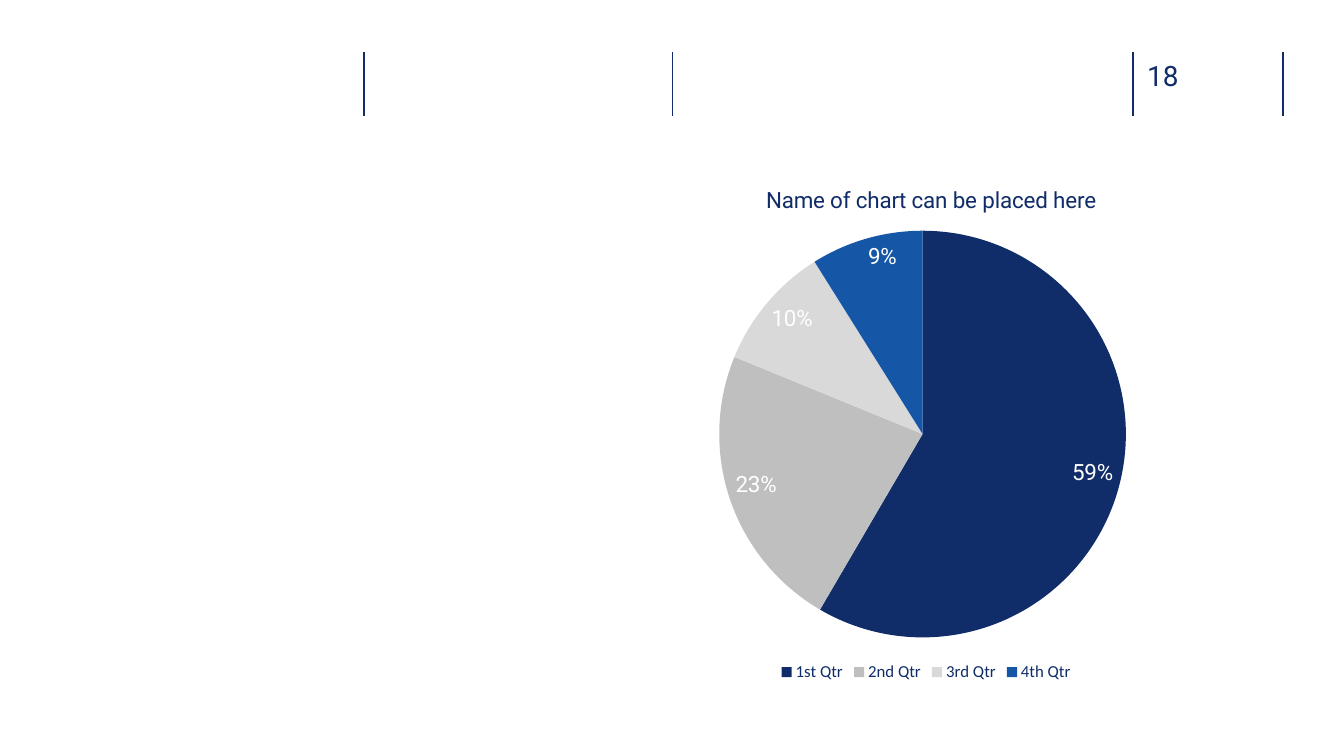
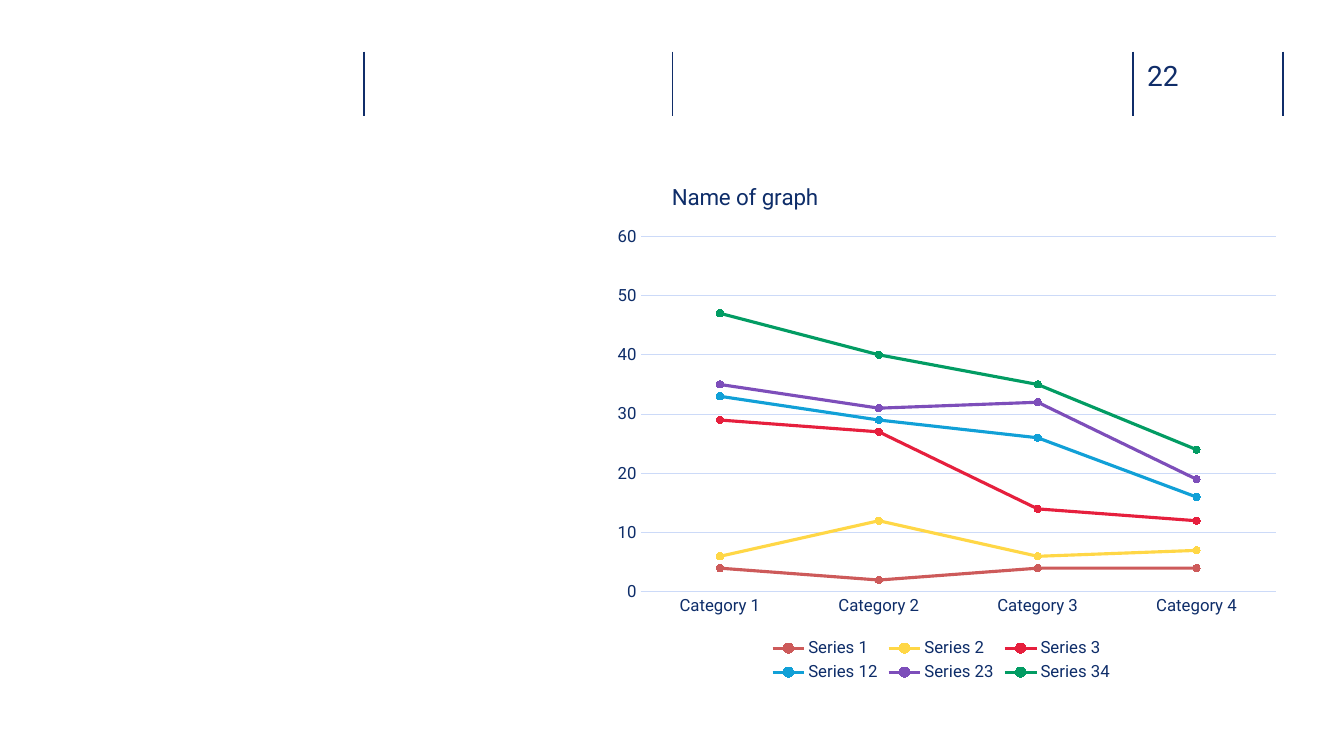
from lxml import etree
from pptx import Presentation
from pptx import util as u
from pptx.chart import data as cd
from pptx.dml import color
from pptx.enum import chart as ec, shapes
from pptx.oxml import ns, parse_xml

NAVY, INK, GRID = "102D69", "0E2D69", "CCDAF8"
FONT = "Roboto"
PIE_COLOURS = [NAVY, "BFBFBF", "D9D9D9", "1656A6"]
RULES = [9.17, 16.94, 28.55, 32.33]  # x of the header rules, in cm
RULE_TOP, RULE_BOTTOM = 1.3, 2.92


def rgb(value):
    return color.RGBColor.from_string(value)


def style(font, size, colour, name=FONT):
    font.size, font.name, font.bold = u.Pt(size), name, False
    font.color.rgb = rgb(colour)


def stroke(line, colour, width):
    line.color.rgb = rgb(colour)
    line.width = u.Pt(width)


def layout_xml(x, y, w=None, h=None):
    """Manual chart layout in fractions of the chart box."""
    parts = [("xMode", "edge"), ("yMode", "edge"), ("x", x), ("y", y)]
    if w:
        parts.insert(0, ("layoutTarget", "inner"))
        parts += [("w", w), ("h", h)]
    inner = "".join(f'<c:{tag} val="{val}"/>' for tag, val in parts)
    return parse_xml(f'<c:layout {ns.nsdecls("c")}><c:manualLayout>{inner}'
                     '</c:manualLayout></c:layout>')


def place_plot(chart, *box):
    area = chart._chartSpace.chart.plotArea
    for old in area.findall(ns.qn("c:layout")):
        area.remove(old)
    area.insert(0, layout_xml(*box))


def add_header(s, number):
    # Vertical rules
    for x in RULES:
        rule = s.shapes.add_connector(shapes.MSO_CONNECTOR.STRAIGHT, u.Cm(x),
                                      u.Cm(RULE_TOP), u.Cm(x), u.Cm(RULE_BOTTOM))
        stroke(rule.line, NAVY, 1)
        etree.SubElement(rule._element.spPr, ns.qn("a:effectLst"))
    # Page number
    sp = s.shapes.add_textbox(u.Cm(28.91), u.Cm(1.47), u.Cm(1.85), u.Cm(0.86))
    tf = sp.text_frame
    tf.word_wrap = True
    tf.margin_left = tf.margin_right = tf.margin_top = tf.margin_bottom = 0
    r = tf.paragraphs[0].add_run()
    r.text = number
    style(r.font, 20, NAVY)


def add_chart(s, kind, box, cats, series, title, legend_font, ink):
    """Chart with the shared title and bottom legend."""
    data = cd.CategoryChartData()
    data.categories = cats
    for name, values in series:
        data.add_series(name, values)
    chart = s.shapes.add_chart(kind, *map(u.Cm, box), data).chart
    style(chart.font, 10, ink, legend_font)
    chart.has_title = True
    r = chart.chart_title.text_frame.paragraphs[0].add_run()
    r.text = title
    style(r.font, 16, ink)
    chart.chart_title.include_in_layout = False
    chart.has_legend = True
    chart.legend.position = ec.XL_LEGEND_POSITION.BOTTOM
    chart.legend.include_in_layout = False
    style(chart.legend.font, 12, ink, legend_font)
    return chart


def place_title(chart, x, y):
    title = chart.chart_title._element
    for old in title.findall(ns.qn("c:layout")):
        title.remove(old)
    title.find(ns.qn("c:tx")).addnext(layout_xml(x, y))


def add_pie(s, box):
    chart = add_chart(s, ec.XL_CHART_TYPE.PIE, box,
                      ["1st Qtr", "2nd Qtr", "3rd Qtr", "4th Qtr"],
                      [("Series 1", [59, 23, 10, 9])],
                      "Name of chart can be placed here", "Calibri", NAVY)
    place_title(chart, 0.27, 0.04)
    place_plot(chart, 0.21, 0.13, 0.57, 0.78)
    plot = chart.plots[0]
    plot.vary_by_categories = True
    # Slices
    for i, colour in enumerate(PIE_COLOURS):
        point = plot.series[0].points[i].format
        point.fill.solid()
        point.fill.fore_color.rgb = rgb(colour)
        point.line.fill.background()
    # Labels
    plot.has_data_labels = True
    labels = plot.data_labels
    labels.show_value, labels.show_percentage = True, False
    labels.number_format, labels.number_format_is_linked = '0"%"', False
    labels.position = ec.XL_LABEL_POSITION.INSIDE_END
    style(labels.font, 16, "FFFFFF")


def add_lines(s, box):
    # Name, values, line colour, marker colour
    rows = [("Series 1", [4, 2, 4, 4], "CD5A5A", "CD5A5A"),
            ("Series 2", [2, 10, 2, 3], "FFD746", "FFD746"),
            ("Series 3", [23, 15, 8, 5], "E61F3D", "E61F3D"),
            ("Series 12", [4, 2, 12, 4], "11A0D7", "11A0D7"),
            ("Series 23", [2, 2, 6, 3], "7D4EBA", "96628C"),
            ("Series 34", [12, 9, 3, 5], "029C63", "029C63")]
    chart = add_chart(s, ec.XL_CHART_TYPE.LINE_MARKERS_STACKED, box,
                      [f"Category {n}" for n in range(1, 5)],
                      [row[:2] for row in rows], "Name of graph", FONT, INK)
    place_title(chart, 0.1, 0.03)
    place_plot(chart, 0.06, 0.14, 0.93, 0.68)
    # Series
    for line, (_, _, colour, marker_colour) in zip(chart.plots[0].series, rows):
        line.smooth = False
        stroke(line.format.line, colour, 2.25)
        marker = line.marker
        marker.style, marker.size = ec.XL_MARKER_STYLE.CIRCLE, 5
        marker.format.fill.solid()
        marker.format.fill.fore_color.rgb = rgb(marker_colour)
        stroke(marker.format.line, marker_colour, 0.75)
    # Axes
    for axis in (chart.category_axis, chart.value_axis):
        axis.major_tick_mark = axis.minor_tick_mark = ec.XL_TICK_MARK.NONE
        style(axis.tick_labels.font, 12, INK)
    stroke(chart.category_axis.format.line, GRID, 0.75)
    values = chart.value_axis
    values.format.line.fill.background()
    values.minimum_scale, values.maximum_scale, values.major_unit = 0, 60, 10
    stroke(values.major_gridlines.format.line, GRID, 0.75)


def main():
    prs = Presentation()
    prs.slide_width, prs.slide_height = u.Cm(33.87), u.Cm(19.05)
    pages = [("18", add_pie, (14.35, 4.06, 17.98, 13.23)),
             ("22", add_lines, (15.11, 4.11, 17.22, 13.18))]
    for number, draw, box in pages:
        s = prs.slides.add_slide(prs.slide_layouts[6])
        add_header(s, number)
        draw(s, box)
    prs.save("out.pptx")


if __name__ == "__main__":
    main()
